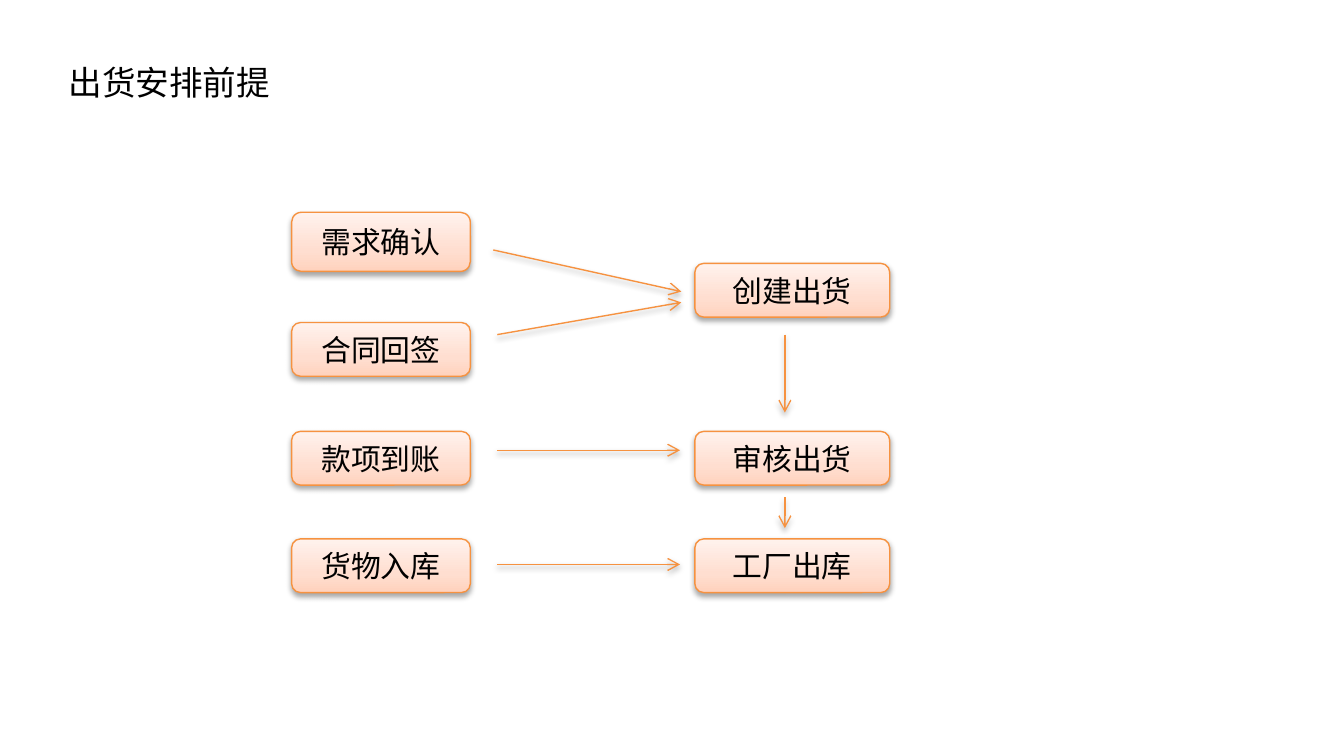
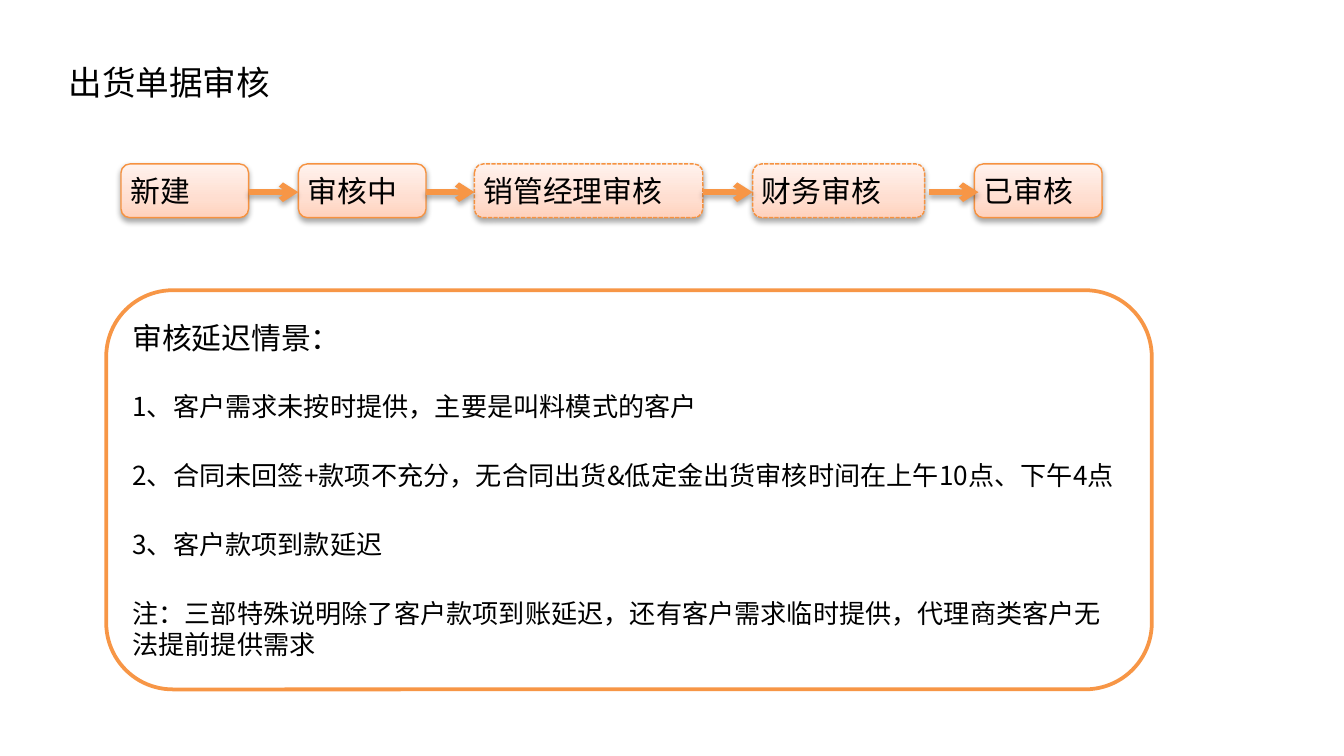
from lxml import etree
from pptx import Presentation
from pptx.dml.color import RGBColor
from pptx.enum.dml import MSO_LINE
from pptx.enum.shapes import MSO_CONNECTOR, MSO_SHAPE
from pptx.enum.text import MSO_ANCHOR, MSO_AUTO_SIZE, PP_ALIGN
from pptx.oxml.ns import qn
from pptx.util import Inches, Pt

ROUND_RECT = MSO_SHAPE.ROUNDED_RECTANGLE
STRAIGHT = MSO_CONNECTOR.STRAIGHT
DASHED = MSO_LINE.SQUARE_DOT
MIDDLE = MSO_ANCHOR.MIDDLE
NO_AUTOFIT = MSO_AUTO_SIZE.NONE
LEFT, CENTER = PP_ALIGN.LEFT, PP_ALIGN.CENTER

FONT = "Noto Sans CJK SC"
BLACK, WHITE = "000000", "FFFFFF"
EDGE, ORANGE = "F69240", "F79646"
PEACH_STOPS = [(0, "FFD2BD"), (35, "FFDED0"), (100, "FFF2ED")]
TITLE_ONLY = 5


def rgb(color):
    return RGBColor.from_string(color)


def sub(parent, tag, **attrs):
    """Append a DrawingML child element."""
    return etree.SubElement(parent, qn(tag), {k: str(v) for k, v in attrs.items()})


def write(p, text, size=16, color=BLACK, align=LEFT, spacing=None, after=0):
    p.alignment = align
    p.space_before, p.space_after = Pt(0), Pt(after)
    if spacing:
        p.line_spacing = Pt(spacing)
    r = p.add_run()
    r.text = text
    r.font.size, r.font.name = Pt(size), FONT
    r.font.color.rgb = rgb(color)
    sub(r.font._element, "a:ea", typeface=FONT)


def prepare_frame(tf):
    tf.word_wrap = True
    tf.auto_size = NO_AUTOFIT
    tf.vertical_anchor = MIDDLE
    tf.margin_left = tf.margin_right = tf.margin_top = tf.margin_bottom = Inches(0.05)
    return tf


def add_shadow(effects):
    shadow = sub(effects, "a:outerShdw", blurRad=Pt(3), dist=Pt(1.8),
                 dir=90 * 60000, rotWithShape=0)
    sub(sub(shadow, "a:srgbClr", val=BLACK), "a:alpha", val=35000)


def fill_peach(sp):
    sp.fill.gradient()
    sp.fill.gradient_angle = 90
    stops = sp._element.spPr.find(".//" + qn("a:gsLst"))
    for old in list(stops):
        stops.remove(old)
    for percent, color in PEACH_STOPS:
        sub(sub(stops, "a:gs", pos=percent * 1000), "a:srgbClr", val=color)


class Deck:
    def __init__(self, prs):
        self.prs = prs
        self.slide = None

    def new_slide(self, title):
        self.slide = self.prs.slides.add_slide(self.prs.slide_layouts[TITLE_ONLY])
        sp = self.slide.shapes.title
        sp.left, sp.top = Inches(0.46), Inches(0.41)
        sp.width, sp.height = Inches(3.61), Inches(0.4)
        write(prepare_frame(sp.text_frame).paragraphs[0], title, size=18)

    def round_rect(self, x, y, w, h, line, weight):
        sp = self.slide.shapes.add_shape(
            ROUND_RECT, Inches(x), Inches(y), Inches(w), Inches(h))
        sp.line.color.rgb, sp.line.width = rgb(line), Pt(weight)
        sp.shadow.inherit = False
        prepare_frame(sp.text_frame)
        return sp

    def step(self, text, x, y, w, h=0.4, align=CENTER, dashed=False):
        """Add a shaded box for one step of the process."""
        sp = self.round_rect(x, y, w, h, EDGE, 0.75)
        fill_peach(sp)
        if dashed:
            sp.line.dash_style = DASHED
        add_shadow(sp._element.spPr.find(qn("a:effectLst")))
        write(sp.text_frame.paragraphs[0], text, align=align)

    def panel(self, x, y, w, h, heading, items):
        sp = self.round_rect(x, y, w, h, ORANGE, 2)
        sp.fill.solid()
        sp.fill.fore_color.rgb = rgb(WHITE)
        tf = sp.text_frame
        write(tf.paragraphs[0], heading, spacing=19, after=19)
        for item in items:
            write(tf.add_paragraph(), item, size=14, spacing=16.8, after=20)

    def arrow(self, x1, y1, x2, y2, color=EDGE, weight=0.75):
        c = self.slide.shapes.add_connector(
            STRAIGHT, Inches(x1), Inches(y1), Inches(x2), Inches(y2))
        c.line.color.rgb, c.line.width = rgb(color), Pt(weight)
        sp_pr = c._element.spPr
        sub(sp_pr.find(qn("a:ln")), "a:tailEnd", type="arrow")
        add_shadow(sub(sp_pr, "a:effectLst"))


def build_prerequisites(deck):
    deck.new_slide("出货安排前提")
    conditions = [("需求确认", 1.58, 0.44), ("合同回签", 2.4, 0.4),
                  ("款项到账", 3.21, 0.4), ("货物入库", 4.01, 0.4)]
    for text, y, h in conditions:
        deck.step(text, 2.17, y, 1.33, h)
    for text, y in [("创建出货", 1.96), ("审核出货", 3.21), ("工厂出库", 4.01)]:
        deck.step(text, 5.17, y, 1.45)

    deck.arrow(3.67, 1.86, 5.07, 2.17)
    deck.arrow(3.7, 2.49, 5.07, 2.25)
    for y in (3.35, 4.2):
        deck.arrow(3.7, y, 5.06, y)
    for top, bottom in [(2.49, 3.07), (3.7, 3.93)]:
        deck.arrow(5.84, top, 5.84, bottom)


def build_review(deck):
    deck.new_slide("出货单据审核")
    deck.panel(0.79, 2.16, 7.78, 2.97, "审核延迟情景：", [
        "1、客户需求未按时提供，主要是叫料模式的客户",
        "2、合同未回签+款项不充分，无合同出货&低定金出货审核时间在上午10点、下午4点",
        "3、客户款项到款延迟",
        "注：三部特殊说明除了客户款项到账延迟，还有客户需求临时提供，代理商类客户无法提前提供需求",
    ])

    steps = [("新建", 0.9, 0.95, False), ("审核中", 2.22, 0.95, False),
             ("销管经理审核", 3.53, 1.7, True), ("财务审核", 5.6, 1.28, True),
             ("已审核", 7.25, 0.95, False)]
    for text, x, w, dashed in steps:
        deck.step(text, x, 1.22, w, align=LEFT, dashed=dashed)
    for (_, x, w, _), (following, next_x, *_) in zip(steps, steps[1:]):
        shift = 0.03 if following == "已审核" else 0
        deck.arrow(x + w + shift, 1.43, next_x + shift, 1.43, ORANGE, 3)


def main():
    prs = Presentation()
    prs.slide_width = Inches(10)
    prs.slide_height = prs.slide_width * 9 // 16
    deck = Deck(prs)
    build_prerequisites(deck)
    build_review(deck)
    prs.save("out.pptx")


if __name__ == "__main__":
    main()
